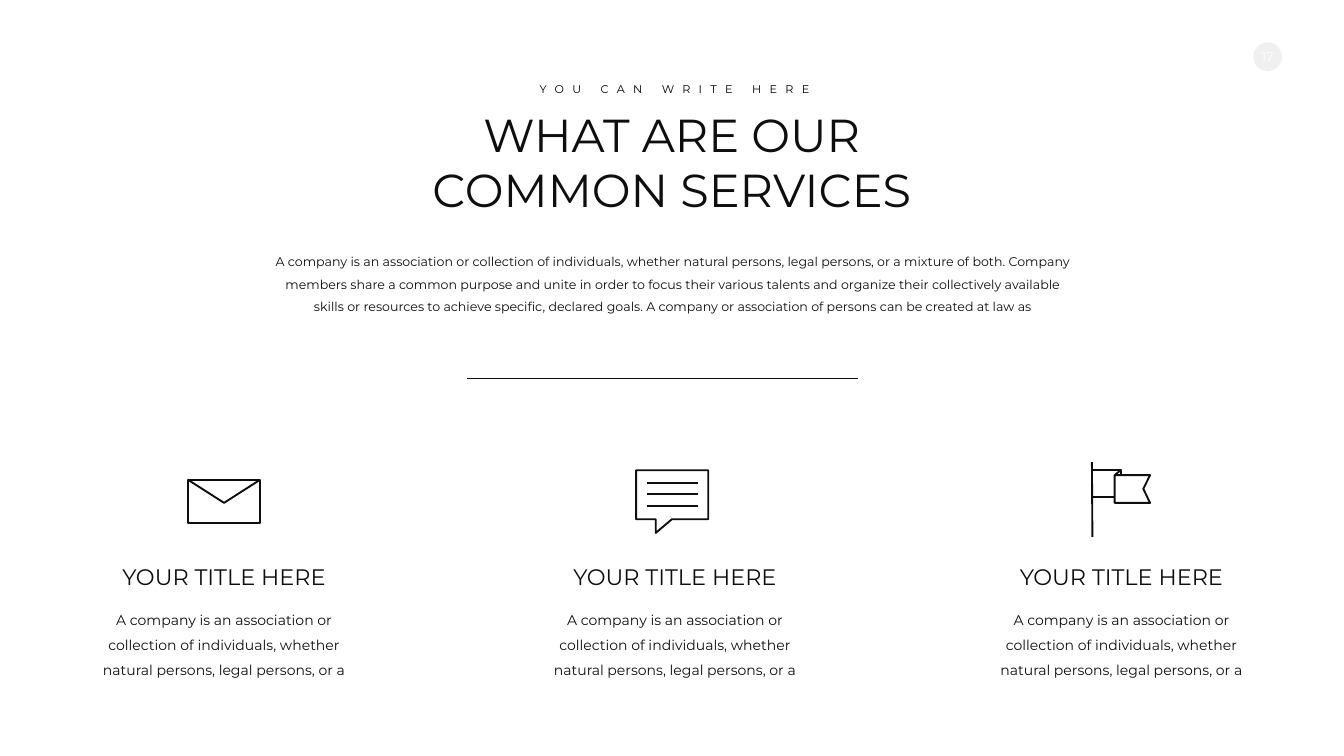
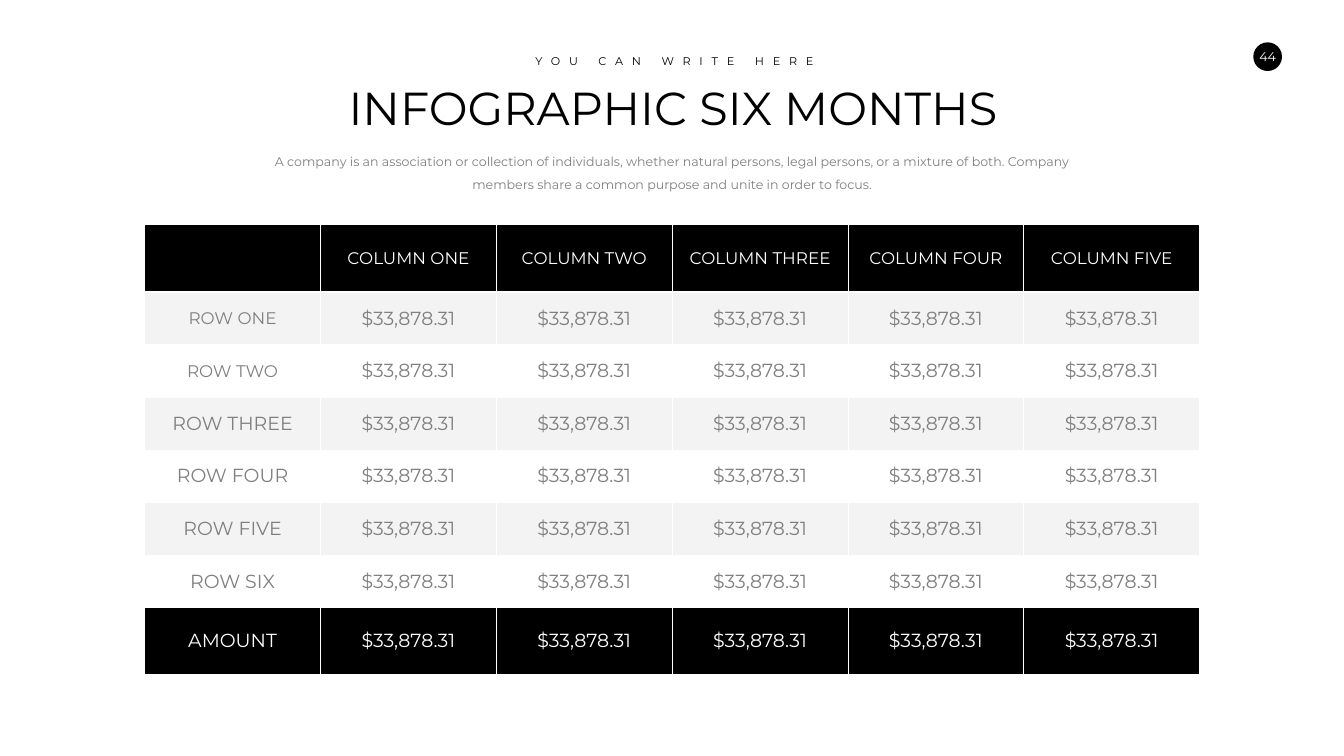
from pptx import Presentation
from pptx.dml.color import RGBColor
from pptx.enum.shapes import MSO_CONNECTOR, MSO_SHAPE
from pptx.enum.text import MSO_ANCHOR, MSO_AUTO_SIZE, PP_ALIGN
from pptx.oxml.ns import qn
from pptx.oxml.xmlchemy import OxmlElement
from pptx.util import Pt

STRAIGHT = MSO_CONNECTOR.STRAIGHT
OVAL, RECTANGLE = MSO_SHAPE.OVAL, MSO_SHAPE.RECTANGLE
TOP, MIDDLE = MSO_ANCHOR.TOP, MSO_ANCHOR.MIDDLE
CENTER = PP_ALIGN.CENTER
NO_AUTOFIT = MSO_AUTO_SIZE.NONE

WIDTH, HEIGHT = 1919.52, 1080
FONT = "Montserrat"
BLACK, INK, GRAY, PALE, WHITE = "000000", "0E0E0E", "7F7F7F", "F3F3F3", "FFFFFF"
EYEBROW = "YOU CAN WRITE HERE"
TITLE_ONLY_LAYOUT = 5
ICON_STROKE = 2.7

SERVICES_INTRO = (
    "A company is an association or collection of individuals, whether natural persons, "
    "legal persons, or a mixture of both. Company members share a common purpose and unite "
    "in order to focus their various talents and organize their collectively available "
    "skills or resources to achieve specific, declared goals. A company or association of "
    "persons can be created at law as")
MONTHS_INTRO = (
    "A company is an association or collection of individuals, whether natural persons, "
    "legal persons, or a mixture of both. Company members share a common purpose and unite "
    "in order to focus.")
SERVICE_TITLE = "YOUR TITLE HERE"
SERVICE_TEXT = ("A company is an association or collection of individuals, whether "
                "natural persons, legal persons, or a")

COLUMNS = ["", "COLUMN ONE", "COLUMN TWO", "COLUMN THREE", "COLUMN FOUR", "COLUMN FIVE"]
ROWS = ["ROW ONE", "ROW TWO", "ROW THREE", "ROW FOUR", "ROW FIVE", "ROW SIX", "AMOUNT"]
VALUE = "$33,878.31"


def rgb(color):
    return RGBColor.from_string(color)


def box_in_points(box):
    return [Pt(length) for length in box]


def set_all(target, values):
    for name, value in values.items():
        setattr(target, name, value)


def write(frame, lines, size, color, line_spacing=None, tracking=None):
    for index, line in enumerate(lines):
        paragraph = frame.add_paragraph() if index else frame.paragraphs[0]
        set_all(paragraph, {"alignment": CENTER, "line_spacing": line_spacing})
        run = paragraph.add_run()
        run.text = line
        set_all(run.font, {"name": FONT, "size": Pt(size)})
        run.font.color.rgb = rgb(color)
        if tracking:
            run._r.get_or_add_rPr().set("spc", str(round(tracking * 100)))


def set_frame(frame, side=7.2, end=3.6, anchor=TOP, wrap=True):
    set_all(frame, {
        "word_wrap": wrap, "auto_size": NO_AUTOFIT, "vertical_anchor": anchor,
        "margin_left": Pt(side), "margin_right": Pt(side),
        "margin_top": Pt(end), "margin_bottom": Pt(end)})


def add_text(slide, box, line, size, color, **style):
    frame = slide.shapes.add_textbox(*box_in_points(box)).text_frame
    set_frame(frame)
    write(frame, [line], size, color, **style)


def add_filled(slide, preset, box, color):
    shape = slide.shapes.add_shape(preset, *box_in_points(box))
    shape.shadow.inherit = False
    shape.fill.solid()
    shape.fill.fore_color.rgb = rgb(color)
    shape.line.fill.background()
    return shape


def add_stroke(shapes, start, end, width):
    stroke = shapes.add_connector(STRAIGHT, *box_in_points(start + end))
    stroke.line.color.rgb = rgb(INK)
    stroke.line.width = Pt(width)
    stroke._element.spPr.append(OxmlElement("a:effectLst"))


def add_outline(shapes, x, y, points, close=False):
    corners = [(Pt(x + dx), Pt(y + dy)) for dx, dy in points]
    builder = shapes.build_freeform(*corners[0])
    builder.add_line_segments(corners[1:], close=close)
    outline = builder.convert_to_shape()
    outline.shadow.inherit = False
    outline.fill.background()
    outline.line.color.rgb = rgb(INK)
    outline.line.width = Pt(ICON_STROKE)


def page_badge(slide, number):
    badge = add_filled(slide, OVAL, (1790, 60.5, 41, 41), BLACK)
    set_frame(badge.text_frame, side=0, end=0, anchor=MIDDLE, wrap=False)
    write(badge.text_frame, [number], 18, WHITE)


def veil(slide):
    cover = add_filled(slide, RECTANGLE, (0, 0, WIDTH, HEIGHT), WHITE)
    alpha = OxmlElement("a:alpha")
    alpha.set("val", "94000")
    cover._element.spPr.find(".//" + qn("a:srgbClr")).append(alpha)


def heading(slide, title_box, title_lines, color, eyebrow_top, tracking):
    title = slide.shapes.title
    slide.shapes._spTree.append(title._element)
    left, top, width, height = box_in_points(title_box)
    set_all(title, {"left": left, "top": top, "width": width, "height": height})
    set_frame(title.text_frame)
    write(title.text_frame, title_lines, 66, color)
    add_text(slide, (717, eyebrow_top, 493, 26.6), EYEBROW, 16, BLACK, tracking=tracking)


def envelope_icon(shapes, x, y):
    add_outline(shapes, x, y, [(103, 62), (0, 62), (0, 0), (103, 0)], close=True)
    add_outline(shapes, x, y, [(0, 0), (51.5, 33), (103, 0)])


def message_icon(shapes, x, y):
    for row in range(3):
        line_y = y + 18 + 16.5 * row
        add_stroke(shapes, (x + 15, line_y), (x + 88, line_y), ICON_STROKE)
    add_outline(shapes, x, y, [(51, 70), (103, 70), (103, 0), (0, 0), (0, 70),
                               (28, 70), (28, 89.5)], close=True)


def flag_icon(shapes, x, y):
    add_stroke(shapes, (x, y), (x + 0.7, y + 106.6), ICON_STROKE)
    add_outline(shapes, x, y, [(42, 10.8), (32.4, 18.7), (32.4, 58.3), (83, 58.3),
                               (73.4, 38.2), (83, 18.7), (32.4, 18.7)])
    add_outline(shapes, x, y, [(32.4, 49.7), (0, 49.7), (0, 10.8), (42, 10.8), (42, 18.7)])


def service(slide, x, y, draw_icon, icon_dx, icon_dy):
    draw_icon(slide.shapes.add_group_shape().shapes, x + icon_dx, y + icon_dy)
    add_text(slide, (x + 8, y + 198, 378, 111), SERVICE_TEXT, 20, INK, line_spacing=1.5)
    add_text(slide, (x, y + 140.4, 394, 46), SERVICE_TITLE, 32, INK)


def set_borders(cell, widths):
    properties = cell._tc.get_or_add_tcPr()
    for side, width in widths.items():
        border = OxmlElement(f"a:ln{side}")
        border.set("w", str(Pt(width)))
        fill = OxmlElement("a:solidFill")
        color = OxmlElement("a:srgbClr")
        color.set("val", WHITE)
        fill.append(color)
        border.append(fill)
        properties.append(border)


def months_table(slide, x, y, column_width, row_heights):
    grid = [COLUMNS] + [[label] + [VALUE] * (len(COLUMNS) - 1) for label in ROWS]
    last = len(grid) - 1
    table = slide.shapes.add_table(
        len(grid), len(COLUMNS),
        *box_in_points((x, y, column_width * len(COLUMNS), sum(row_heights)))).table
    set_all(table, {"first_row": False, "horz_banding": False})
    for column in table.columns:
        column.width = Pt(column_width)
    for r, texts in enumerate(grid):
        table.rows[r].height = Pt(row_heights[r])
        dark = r in (0, last)
        fill = BLACK if dark else PALE if r % 2 else WHITE
        borders = {"L": 1, "R": 1, "T": 3 if r in (1, last) else 1,
                   "B": 3 if r in (0, last - 1) else 1}
        for c, text in enumerate(texts):
            cell = table.cell(r, c)
            set_borders(cell, borders)
            cell.fill.solid()
            cell.fill.fore_color.rgb = rgb(fill)
            set_all(cell, {"vertical_anchor": MIDDLE, **{
                f"margin_{side}": Pt(3.6) for side in ("left", "right", "top", "bottom")}})
            if text:
                small = r == 0 or (c == 0 and r < 3)
                write(cell.text_frame, [text], 24 if small else 27, WHITE if dark else GRAY)


def services_slide(slide):
    page_badge(slide, "17")
    veil(slide)
    heading(slide, (556, 147.6, 807, 167), ["WHAT ARE OUR", "COMMON SERVICES"],
            INK, 113.8, 11.9)
    add_text(slide, (380, 348.5, 1162, 101), SERVICES_INTRO, 18, INK, line_spacing=1.5)
    for x, draw_icon, icon_dx, icon_dy in (
            (123, envelope_icon, 145.5, 25.2),
            (767, message_icon, 141.6, 11.6),
            (1404.7, flag_icon, 154.8, 0)):
        service(slide, x, 660.2, draw_icon, icon_dx, icon_dy)
    add_stroke(slide.shapes, (667.4, 540), (1225.4, 540), 0.75)


def months_slide(slide):
    page_badge(slide, "44")
    months_table(slide, 206.6, 321.1, 251.1, [96.3] + [75.1] * 6 + [95.6])
    heading(slide, (427, 109.4, 1068, 87), ["INFOGRAPHIC SIX MONTHS"], BLACK, 73.4, 12.6)
    add_text(slide, (383, 206, 1154, 73), MONTHS_INTRO, 18, GRAY, line_spacing=1.5)


def main():
    deck = Presentation()
    set_all(deck, {"slide_width": Pt(WIDTH), "slide_height": Pt(HEIGHT)})
    for fill_slide in (services_slide, months_slide):
        fill_slide(deck.slides.add_slide(deck.slide_layouts[TITLE_ONLY_LAYOUT]))
    deck.save("out.pptx")


if __name__ == "__main__":
    main()
